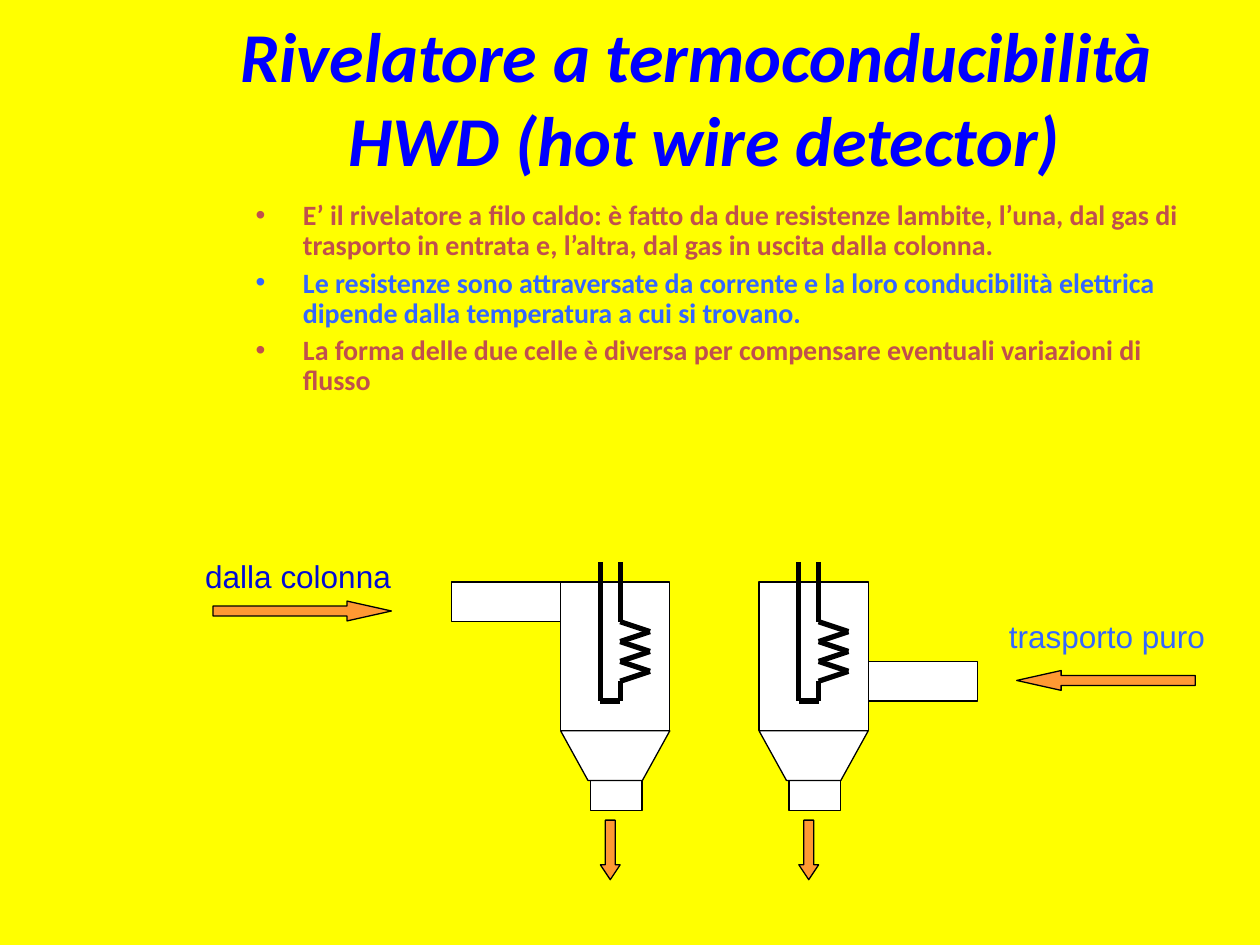
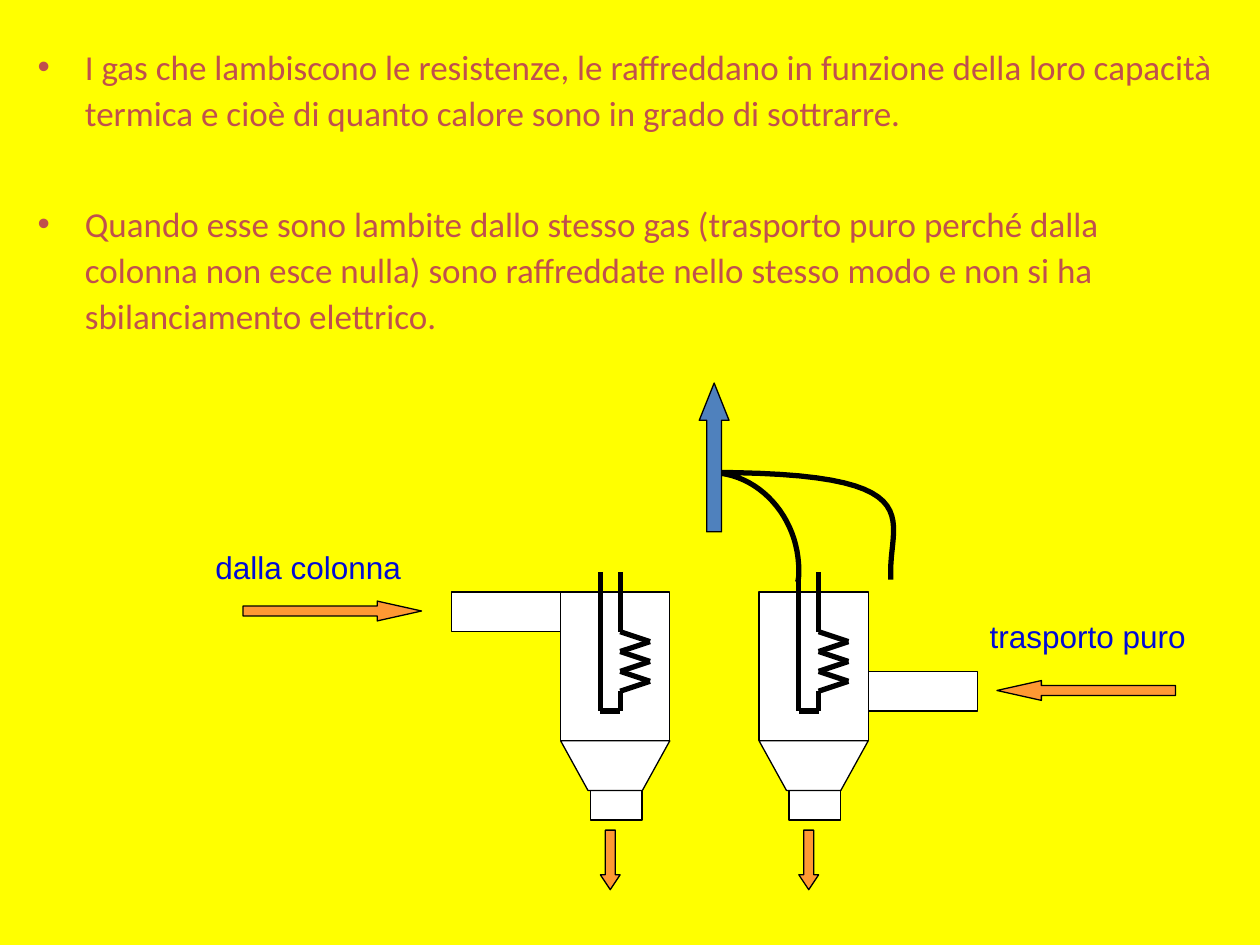
from itertools import pairwise

from lxml import etree
from pptx import Presentation
from pptx.dml.color import RGBColor
from pptx.enum.shapes import MSO_CONNECTOR, MSO_SHAPE
from pptx.enum.text import MSO_ANCHOR, PP_ALIGN
from pptx.oxml.ns import qn
from pptx.util import Pt

YELLOW = RGBColor(0xFF, 0xFF, 0x00)
TITLE_BLUE = RGBColor(0x00, 0x00, 0xFF)
LABEL_BLUE = RGBColor(0x01, 0x0B, 0xD5)
LIGHT_BLUE = RGBColor(0x33, 0x66, 0xFF)
STEEL_BLUE = RGBColor(0x4F, 0x81, 0xBD)
BRICK = RGBColor(0xC0, 0x50, 0x4D)
ORANGE = RGBColor(0xFF, 0x99, 0x33)
WHITE = RGBColor(0xFF, 0xFF, 0xFF)
BLACK = RGBColor(0x00, 0x00, 0x00)

# Every part of the detector sits on a grid of this step, in points
STEP = 11.34
CELL_LEFT = 320.4
CELL_PITCH = 10 * STEP
INLET_ARROW = (9 * STEP, STEP)
LABEL_SIZE = (136, 28.8)

# Grid positions, measured from the top left corner of a cell
CELL_BOX = (0, 0, 5.5, 7.5)
NECK_BOX = (1.5, 9.5, 2.6, 2)
LEFT_PIPE = (-5.5, 0, 5.5, 2)
RIGHT_PIPE = (5.5, 4, 5.5, 2)
OUTLET_ARROW = (2, 12, 1, 3)
FUNNEL = [(0, 7.5), (1.38, 10), (4.12, 10), (5.5, 7.5)]
WIRE = [(2, -1), (2, 6), (3, 6), (3, 5), (4.5, 4.5), (3, 4), (4.5, 3.5),
        (3, 3), (4.5, 2.5), (3, 2), (3, -1)]

TITLE = "Rivelatore a termoconducibilità \vHWD (hot wire detector)"
SLIDES = [
    {
        "title": TITLE,
        "body": (139, 111.6, 550, 136),
        "style": {"size": 16, "bold": True, "line": 0.9, "gap": 4},
        "bullets": [
            ("E’ il rivelatore a filo caldo: è fatto da due resistenze lambite, l’una, "
             "dal gas di trasporto in entrata e, l’altra, dal gas in uscita dalla colonna.",
             BRICK),
            ("Le resistenze sono attraversate da corrente e la loro conducibilità "
             "elettrica dipende dalla temperatura a cui si trovano.", LIGHT_BLUE),
            ("La forma delle due celle è diversa per compensare eventuali variazioni "
             "di flusso", BRICK),
        ],
        "cell_top": 332.6,
        "inlets": [
            ("dalla colonna", LABEL_BLUE, (110.2, 314.6),
             MSO_SHAPE.RIGHT_ARROW, (121.7, 343.5)),
            ("trasporto puro", LIGHT_BLUE, (569.5, 349.2),
             MSO_SHAPE.LEFT_ARROW, (581, 383.2)),
        ],
    },
    {
        "body": (14.4, 20.2, 686, 181.4),
        "style": {"size": 20, "bold": False, "line": 1.1, "gap": 36.5},
        "bullets": [
            ("I gas che lambiscono le resistenze, le raffreddano in funzione della loro "
             "capacità termica e cioè di quanto calore sono in grado di sottrarre.", BRICK),
            ("Quando esse sono lambite dallo stesso gas (trasporto puro perché dalla "
             "colonna non esce nulla) sono raffreddate nello stesso modo e non si ha "
             "sbilanciamento elettrico.", BRICK),
        ],
        "cell_top": 338.3,
        "inlets": [
            ("dalla colonna", LABEL_BLUE, (116, 309.6),
             MSO_SHAPE.RIGHT_ARROW, (138.9, 343.5)),
            ("trasporto puro", LABEL_BLUE, (558.5, 349.2),
             MSO_SHAPE.LEFT_ARROW, (569.7, 388.9)),
        ],
        # Each row holds two control points and an end point
        "cable_start": (455.8, 332.6),
        "cable_curves": [
            ((456.5, 330.5), (456.5, 328.3), (456.5, 326.2)),
            ((456.5, 295.2), (433.4, 270), (405.4, 270)),
            ((532.1, 270), (509, 295.2), (509, 326.2)),
            ((509, 327.6), (509, 329), (509, 331.2)),
        ],
        "signal_arrow": (399.6, 218.9, 17, 85),
    },
]


def paint(shape, fill):
    shape.shadow.inherit = False
    shape.fill.solid()
    shape.fill.fore_color.rgb = fill
    shape.line.color.rgb = BLACK
    shape.line.width = Pt(0.75)


def add_box(shapes, preset, box, fill, head=None):
    """Add a preset shape; head is an arrow's head length over its width."""
    shape = shapes.add_shape(preset, *map(Pt, box))
    paint(shape, fill)
    if head:
        shape.adjustments[0] = 0.5
        shape.adjustments[1] = head


def add_text(slide, box):
    frame = slide.shapes.add_textbox(*map(Pt, box)).text_frame
    frame.word_wrap = True
    return frame


def set_font(paragraph, name, size, color, bold=False, italic=False):
    font = paragraph.font
    font.name, font.size, font.bold, font.italic = name, Pt(size), bold, italic
    font.color.rgb = color


def add_title(slide, text):
    frame = add_text(slide, (104.4, 21.6, 596, 67))
    frame.vertical_anchor = MSO_ANCHOR.MIDDLE
    paragraph = frame.paragraphs[0]
    paragraph.text = text
    paragraph.alignment = PP_ALIGN.CENTER
    set_font(paragraph, "Calibri", 40, TITLE_BLUE, bold=True, italic=True)


def add_bullets(slide, box, bullets, style):
    frame = add_text(slide, box)
    for index, (text, color) in enumerate(bullets):
        paragraph = frame.add_paragraph() if index else frame.paragraphs[0]
        paragraph.text = text
        paragraph.line_spacing = style["line"]
        if index:
            paragraph.space_before = Pt(style["gap"])
        properties = paragraph._p.get_or_add_pPr()
        properties.set("marL", str(Pt(27)))
        properties.set("indent", str(Pt(-27)))
        etree.SubElement(properties, qn("a:buFont")).set("typeface", "Arial")
        etree.SubElement(properties, qn("a:buChar")).set("char", "•")
        set_font(paragraph, "Calibri", style["size"], color, style["bold"])


def add_cell(slide, left, top, pipe):
    """Add one detector cell with its pipe, heated wire and outlet arrow."""
    def place(x, y):
        return left + x * STEP, top + y * STEP

    def scale(box):
        return *place(*box[:2]), box[2] * STEP, box[3] * STEP

    shapes = slide.shapes.add_group_shape().shapes
    for box in (pipe, NECK_BOX, CELL_BOX):
        add_box(shapes, MSO_SHAPE.RECTANGLE, scale(box), WHITE)

    corners = [tuple(map(Pt, place(*point))) for point in FUNNEL]
    builder = shapes.build_freeform(*corners[0])
    builder.add_line_segments(corners[1:], close=True)
    paint(builder.convert_to_shape(), WHITE)

    for start, end in pairwise(WIRE):
        ends = map(Pt, (*place(*start), *place(*end)))
        wire = shapes.add_connector(MSO_CONNECTOR.STRAIGHT, *ends)
        wire.line.color.rgb = BLACK
        wire.line.width = Pt(3)
        etree.SubElement(wire._element.spPr, qn("a:effectLst"))

    add_box(slide.shapes, MSO_SHAPE.DOWN_ARROW, scale(OUTLET_ARROW), ORANGE, 0.75)


def add_inlet(slide, text, color, label_at, preset, arrow_at):
    add_box(slide.shapes, preset, (*arrow_at, *INLET_ARROW), ORANGE, 2.24)
    paragraph = add_text(slide, (*label_at, *LABEL_SIZE)).paragraphs[0]
    paragraph.text = text
    set_font(paragraph, "Arial", 18, color)


def bezier(points, t):
    weights = ((1 - t) ** 3, 3 * t * (1 - t) ** 2, 3 * t ** 2 * (1 - t), t ** 3)
    return tuple(Pt(sum(w * p[axis] for w, p in zip(weights, points)))
                 for axis in (0, 1))


def add_cable(slide, start, curves, steps=24):
    builder = slide.shapes.build_freeform(*map(Pt, start))
    for curve in curves:
        points = [bezier((start, *curve), i / steps) for i in range(1, steps + 1)]
        builder.add_line_segments(points, close=False)
        start = curve[-1]
    cable = builder.convert_to_shape()
    cable.shadow.inherit = False
    cable.fill.background()
    cable.line.color.rgb = BLACK
    cable.line.width = Pt(3)


def build_slide(presentation, content):
    slide = presentation.slides.add_slide(presentation.slide_layouts[6])
    slide.background.fill.solid()
    slide.background.fill.fore_color.rgb = YELLOW
    if "title" in content:
        add_title(slide, content["title"])
    for index, pipe in enumerate((LEFT_PIPE, RIGHT_PIPE)):
        add_cell(slide, CELL_LEFT + index * CELL_PITCH, content["cell_top"], pipe)
    if "cable_start" in content:
        add_cable(slide, content["cable_start"], content["cable_curves"])
        add_box(slide.shapes, MSO_SHAPE.UP_ARROW, content["signal_arrow"],
                STEEL_BLUE, 1.25)
    for inlet in content["inlets"]:
        add_inlet(slide, *inlet)
    add_bullets(slide, content["body"], content["bullets"], content["style"])


def main():
    presentation = Presentation()
    presentation.slide_width, presentation.slide_height = Pt(720), Pt(540)
    for content in SLIDES:
        build_slide(presentation, content)
    presentation.save("out.pptx")


if __name__ == "__main__":
    main()
